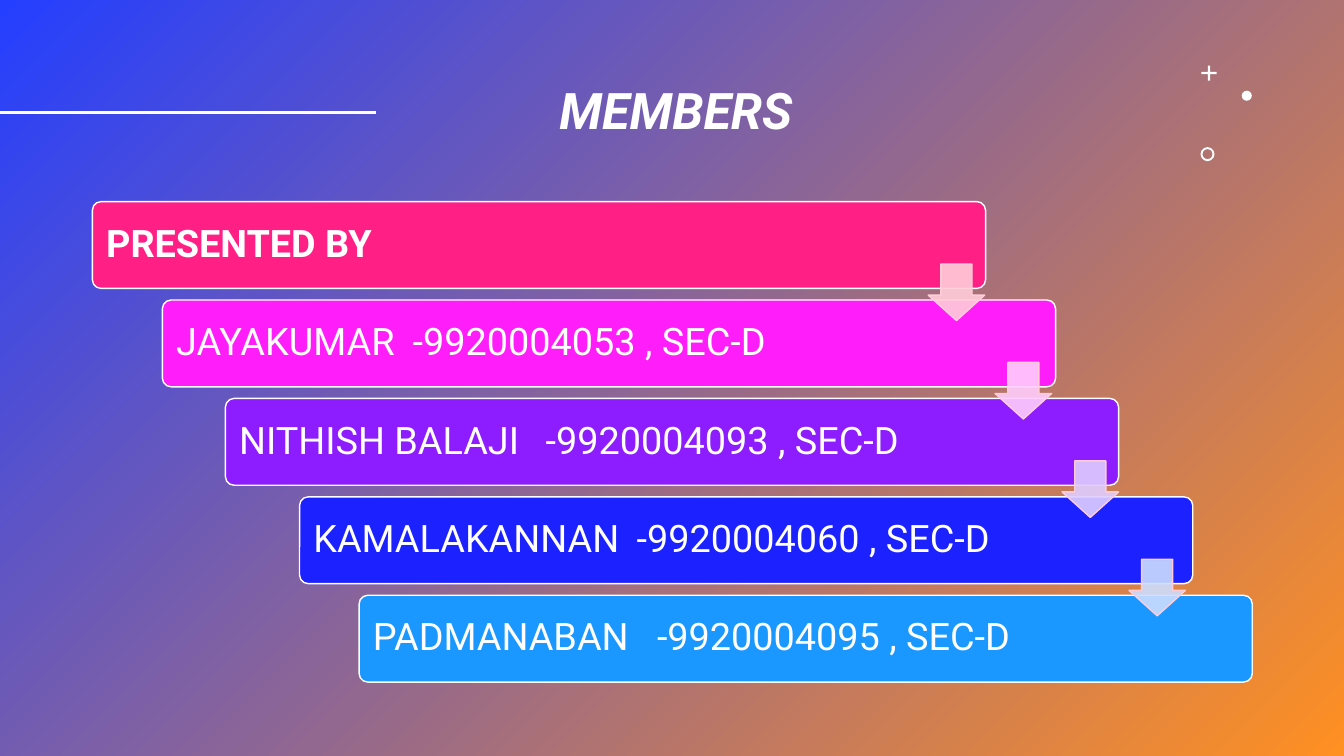
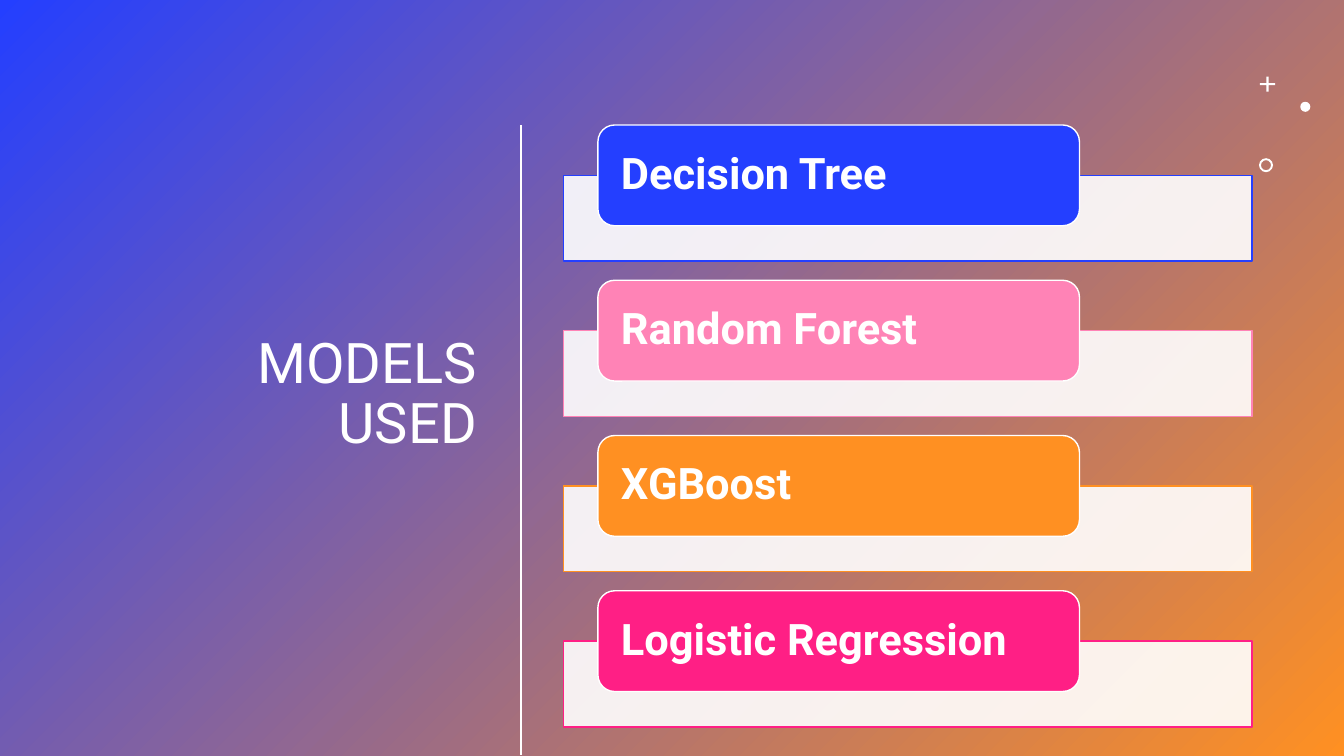
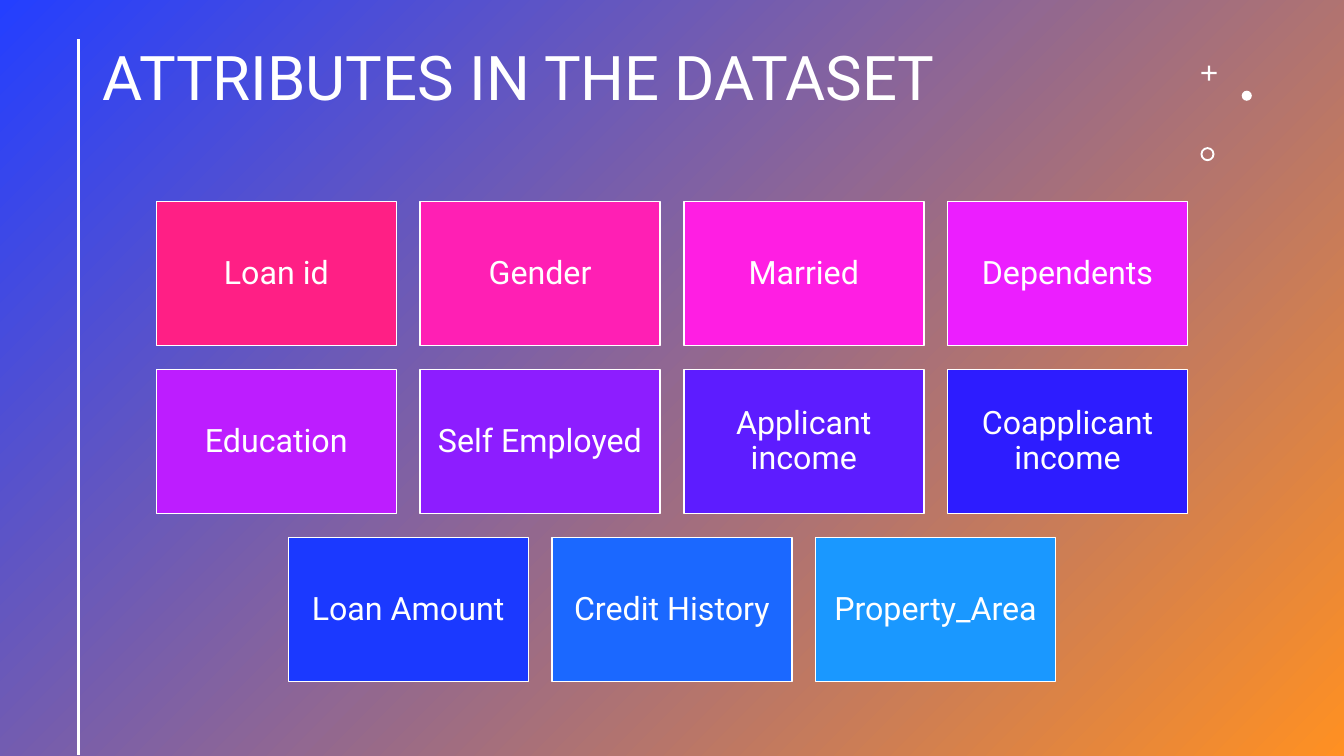
from lxml.etree import SubElement
from pptx import Presentation
from pptx.dml.color import RGBColor
from pptx.enum.shapes import MSO_CONNECTOR, MSO_SHAPE
from pptx.enum.text import MSO_ANCHOR, MSO_AUTO_SIZE, PP_ALIGN
from pptx.oxml.ns import qn
from pptx.util import Pt

WIDE, HIGH = 960, 540
FACE = "Roboto"
WHITE = RGBColor(0xFF, 0xFF, 0xFF)
BLUE = RGBColor(0x24, 0x3F, 0xFF)
ORANGE = RGBColor(0xFF, 0x90, 0x22)
ROSE = RGBColor(0xFF, 0x1F, 0x85)
PINK = RGBColor(0xFF, 0x83, 0xB6)
PURPLE = RGBColor(0x8D, 0x1D, 0xFF)
SKY = RGBColor(0x1A, 0x98, 0xFF)
FUCHSIA = RGBColor(0xFF, 0x1E, 0xFA)
NAVY = RGBColor(0x1B, 0x21, 0xFF)
PALE_ROSE = RGBColor(0xFF, 0xCD, 0xD9)
PALE_FUCHSIA = RGBColor(0xFF, 0xCD, 0xFC)
PALE_PURPLE = RGBColor(0xDF, 0xCD, 0xFF)
PALE_BLUE = RGBColor(0xCC, 0xDD, 0xFF)

# Name, number, left edge, tab stop, colour
MEMBERS = [
    ("PRESENTED BY", "", 66, 0, ROSE),
    ("JAYAKUMAR", "-9920004053 , SEC-D", 116, 169, FUCHSIA),
    ("NITHISH BALAJI", "-9920004093 , SEC-D", 161, 219, PURPLE),
    ("KAMALAKANNAN", "-9920004060 , SEC-D", 214, 231, NAVY),
    ("PADMANABAN", "-9920004095 , SEC-D", 256.5, 203, SKY),
]
ARROWS = [PALE_ROSE, PALE_FUCHSIA, PALE_PURPLE, PALE_BLUE]
MODELS = [
    ("Decision Tree", BLUE),
    ("Random Forest", PINK),
    ("XGBoost", ORANGE),
    ("Logistic Regression", ROSE),
]
FIELDS = [
    [("Loan id", ROSE), ("Gender", RGBColor(0xFF, 0x1F, 0xB4)),
     ("Married", RGBColor(0xFF, 0x1E, 0xE3)),
     ("Dependents", RGBColor(0xEC, 0x1E, 0xFF))],
    [("Education", RGBColor(0xBD, 0x1D, 0xFF)), ("Self Employed", PURPLE),
     ("Applicant income", RGBColor(0x5D, 0x1C, 0xFF)),
     ("Coapplicant income", RGBColor(0x2D, 0x1C, 0xFF))],
    [("Loan Amount", RGBColor(0x1B, 0x39, 0xFF)),
     ("Credit History", RGBColor(0x1B, 0x68, 0xFF)),
     ("Property_Area", SKY)],
]


def assign(item, values):
    for name, value in values.items():
        setattr(item, name, value)


def write(shape, text, size, align=PP_ALIGN.LEFT, pads=(7.2, 3.6, 7.2, 3.6),
          **style):
    """Fill a shape with one paragraph; pads run left, top, right, bottom."""
    frame = shape.text_frame
    sides = ("margin_left", "margin_top", "margin_right", "margin_bottom")
    assign(frame, dict(zip(sides, map(Pt, pads))))
    assign(frame, {"word_wrap": True, "auto_size": MSO_AUTO_SIZE.NONE,
                   "vertical_anchor": MSO_ANCHOR.MIDDLE})
    para = frame.paragraphs[0]
    assign(para, {"alignment": align, "line_spacing": 0.9})
    run = para.add_run()
    run.text = text
    assign(run.font, {"name": FACE, "size": Pt(size), **style})
    run.font.color.rgb = WHITE
    return para


def draw(slide, kind, box, fill, edge=None, adjust=(), alpha=100):
    shape = slide.shapes.add_shape(kind, *map(Pt, box))
    shape.shadow.inherit = False
    shape.fill.solid()
    shape.fill.fore_color.rgb = fill
    if edge is None:
        shape.line.fill.background()
    else:
        shape.line.color.rgb = edge
        shape.line.width = Pt(1)
    for i, value in enumerate(adjust):
        shape.adjustments[i] = value
    if alpha < 100:
        color = shape.fill.fore_color.rgb
        first = next(shape.element.spPr.iter(qn("a:srgbClr")))
        SubElement(first, qn("a:alpha"), val=str(alpha * 1000))
    return shape


def rule(slide, *ends):
    line = slide.shapes.add_connector(MSO_CONNECTOR.STRAIGHT, *map(Pt, ends))
    line.line.color.rgb = WHITE
    line.line.width = Pt(2)
    SubElement(line.element.spPr, qn("a:effectLst"))


def marks(slide, left, top):
    """Plus, dot and ring in the upper right corner."""
    for kind, x, y, size, adjust in (
            (MSO_SHAPE.CROSS, 0.7, 0, 10.8, [0.43]),
            (MSO_SHAPE.OVAL, 29.5, 18, 7.2, []),
            (MSO_SHAPE.DONUT, 0, 58.3, 10, [0.14])):
        draw(slide, kind, (left + x, top + y, size, size), WHITE,
             adjust=adjust)


def start(deck, text, box, size, line, spot=(857.5, 46.8), **style):
    """Add a slide with its title, white rule and corner marks."""
    slide = deck.slides.add_slide(deck.slide_layouts[5])
    title = slide.shapes.title
    assign(title, dict(zip(("left", "top", "width", "height"), map(Pt, box))))
    write(title, text, size, **style)
    rule(slide, *line)
    marks(slide, *spot)
    return slide


def stairs(slide, top, step=70.3):
    """Stepped bars, then the arrows that lead from one to the next."""
    for i, (name, number, left, stop, fill) in enumerate(MEMBERS):
        bar = draw(slide, MSO_SHAPE.ROUNDED_RECTANGLE,
                   (left, top + i * step, 638, 62), fill, WHITE, [0.1])
        text = f"{name}\t{number}" if number else name
        para = write(bar, text, 27, pads=(8, 8, 8, 8), bold=not number)
        if number:
            tabs = SubElement(para._p.get_or_add_pPr(), qn("a:tabLst"))
            SubElement(tabs, qn("a:tab"), pos=str(Pt(stop)), algn="l")
    for i, fill in enumerate(ARROWS):
        draw(slide, MSO_SHAPE.DOWN_ARROW,
             (663 + i * 47.8, top + 44.6 + i * step, 40.4, 40.4),
             fill, PALE_ROSE, [0.55, 0.45], 90)


def cards(slide, left, top, step=110.9):
    """Pale panels, each with a coloured label over its upper edge."""
    for i, (name, fill) in enumerate(MODELS):
        y = top + i * step
        draw(slide, MSO_SHAPE.RECTANGLE, (left, y + 36, 491.8, 61.2),
             WHITE, fill, alpha=90)
        label = draw(slide, MSO_SHAPE.ROUNDED_RECTANGLE,
                     (left + 24.6, y, 344, 72), fill, WHITE)
        write(label, name, 31, pads=(13, 0, 13, 0), bold=True)


def tiles(slide, top, wide=171.4, high=103, gap=17):
    """Rows of tiles, each row centred on the slide."""
    for j, row in enumerate(FIELDS):
        left = (WIDE - len(row) * (wide + gap) + gap) / 2
        for i, (name, fill) in enumerate(row):
            tile = draw(slide, MSO_SHAPE.RECTANGLE,
                        (left + i * (wide + gap), top + j * (high + gap),
                         wide, high), fill, WHITE)
            write(tile, name, 23, PP_ALIGN.CENTER, pads=(7, 7, 7, 7))


def paint(master):
    fill = master.background.fill
    fill.gradient()
    fill.gradient_angle = 315
    for stop, color in zip(fill.gradient_stops, (BLUE, ORANGE)):
        stop.color.rgb = color


def main():
    deck = Presentation()
    assign(deck, {"slide_width": Pt(WIDE), "slide_height": Pt(HIGH)})
    paint(deck.slide_master)

    slide = start(deck, "MEMBERS", (276.5, 28.8, 563.8, 104.4), 36,
                  (0, 80.6, 268.5, 80.6), pads=(123, 3.6, 7.2, 3.6),
                  bold=True, italic=True)
    stairs(slide, 144)

    slide = start(deck, "MODELS USED", (37.4, 83.5, 310.3, 440), 40,
                  (372.2, 89.3, 372.2, 539.3), (899.3, 54.7),
                  align=PP_ALIGN.RIGHT, pads=(100, 3.6, 7.2, 46))
    cards(slide, 402.5, 89.3)

    slide = start(deck, "ATTRIBUTES IN THE DATASET",
                  (66.2, 28.8, 771.8, 104.4), 44, (56.2, 28, 56.2, 539.3),
                  pads=(7.2, 3.6, 7.2, 50))
    tiles(slide, 144)

    deck.save("out.pptx")


if __name__ == "__main__":
    main()
